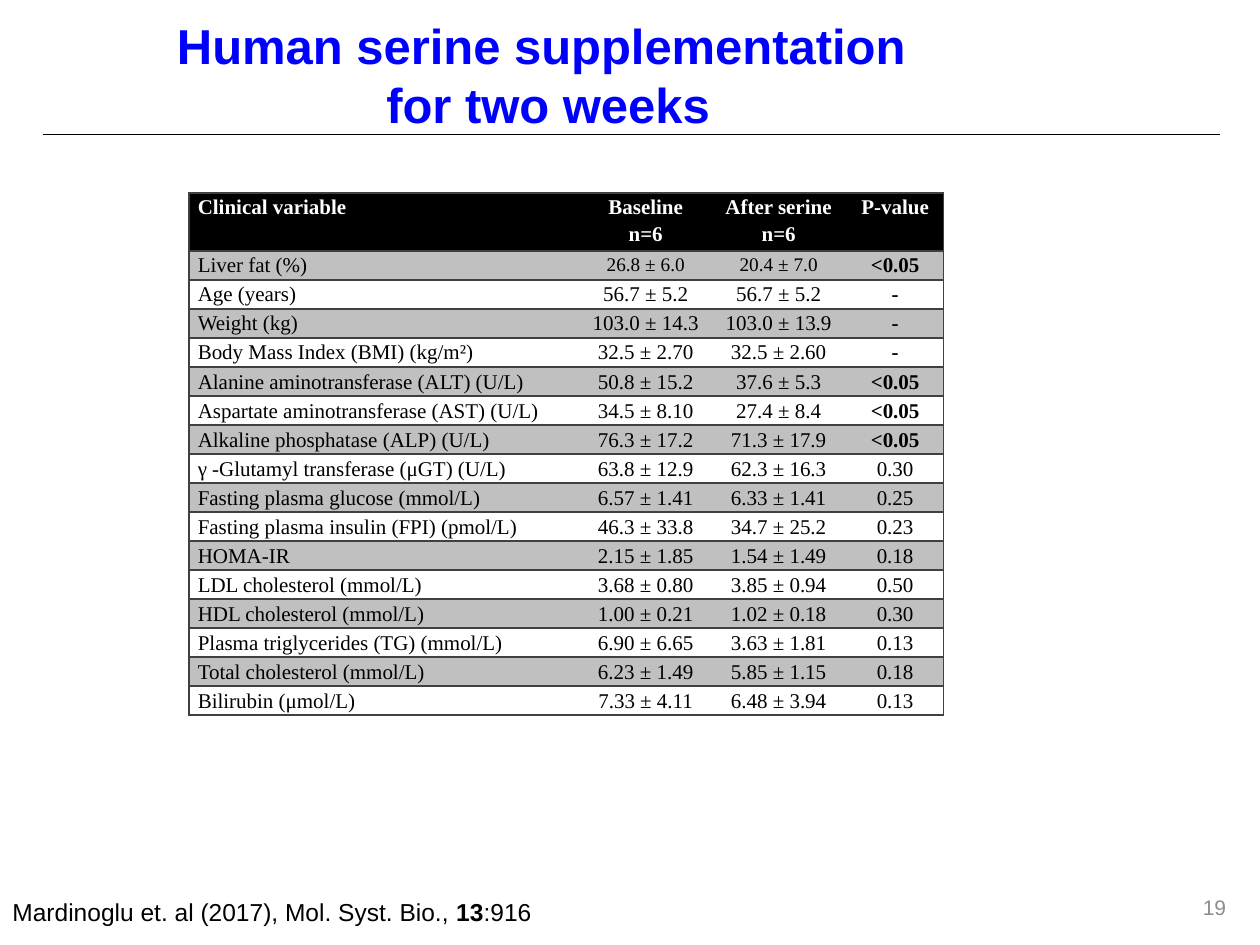
from typing import NamedTuple

from lxml.etree import SubElement
from pptx import Presentation
from pptx.dml.color import RGBColor
from pptx.enum.shapes import MSO_CONNECTOR
from pptx.enum.text import MSO_ANCHOR, PP_ALIGN
from pptx.oxml.ns import qn
from pptx.util import Inches, Length, Pt

SLIDE_WIDTH, SLIDE_HEIGHT = Inches(10), Inches(7.5)
BLACK, WHITE, BLUE, SILVER, GREY, DARK = (
    "000000", "FFFFFF", "0000FF", "C0C0C0", "8C8C8C", "404040")
COLUMN_SHARES = (31.1, 10.3, 10.8, 7.7)
ROW_SHARE = 3.07
CELL_PADDING = Inches(0.07)


class Box(NamedTuple):
    """A frame in percent of the slide's width and height."""
    left: float
    top: float
    width: float
    height: float


class Span(NamedTuple):
    text: str
    bold: bool = False


class TextStyle(NamedTuple):
    font: str
    size: float
    color: str
    align: PP_ALIGN = PP_ALIGN.LEFT
    spacing: float = 1.0


class Measurement(NamedTuple):
    variable: str
    baseline: str
    after: str
    p_value: str
    value_size: float = 12


HEADER = Measurement("Clinical variable", "Baseline\nn=6", "After serine\nn=6", "P-value")
MEASUREMENTS = (
    Measurement("Liver fat (%)", "26.8 ± 6.0", "20.4 ± 7.0", "<0.05", 11),
    Measurement("Age (years)", "56.7 ± 5.2", "56.7 ± 5.2", "-"),
    Measurement("Weight (kg)", "103.0 ± 14.3", "103.0 ± 13.9", "-"),
    Measurement("Body Mass Index (BMI) (kg/m²)", "32.5 ± 2.70", "32.5 ± 2.60", "-"),
    Measurement("Alanine aminotransferase (ALT) (U/L)", "50.8 ± 15.2", "37.6 ± 5.3", "<0.05"),
    Measurement("Aspartate aminotransferase (AST) (U/L)", "34.5 ± 8.10", "27.4 ± 8.4", "<0.05"),
    Measurement("Alkaline phosphatase (ALP) (U/L)", "76.3 ± 17.2", "71.3 ± 17.9", "<0.05"),
    Measurement("γ -Glutamyl transferase (μGT) (U/L)", "63.8 ± 12.9", "62.3 ± 16.3", "0.30"),
    Measurement("Fasting plasma glucose (mmol/L)", "6.57 ± 1.41", "6.33 ± 1.41", "0.25"),
    Measurement("Fasting plasma insulin (FPI) (pmol/L)", "46.3 ± 33.8", "34.7 ± 25.2", "0.23"),
    Measurement("HOMA-IR", "2.15 ± 1.85", "1.54 ± 1.49", "0.18"),
    Measurement("LDL cholesterol (mmol/L)", "3.68 ± 0.80", "3.85 ± 0.94", "0.50"),
    Measurement("HDL cholesterol (mmol/L)", "1.00 ± 0.21", "1.02 ± 0.18", "0.30"),
    Measurement("Plasma triglycerides (TG) (mmol/L)", "6.90 ± 6.65", "3.63 ± 1.81", "0.13"),
    Measurement("Total cholesterol (mmol/L)", "6.23 ± 1.49", "5.85 ± 1.15", "0.18"),
    Measurement("Bilirubin (μmol/L)", "7.33 ± 4.11", "6.48 ± 3.94", "0.13"),
)


def rgb(color: str) -> RGBColor:
    return RGBColor.from_string(color)


def across(percent: float) -> Length:
    return Length(round(SLIDE_WIDTH * percent / 100))


def down(percent: float) -> Length:
    return Length(round(SLIDE_HEIGHT * percent / 100))


def place(box: Box) -> tuple[Length, Length, Length, Length]:
    return across(box.left), down(box.top), across(box.width), down(box.height)


def apply(target: object, values: dict[str, object]) -> None:
    for name, value in values.items():
        setattr(target, name, value)


def write(frame, lines: list[list[Span]], style: TextStyle) -> None:
    for index, spans in enumerate(lines):
        paragraph = frame.add_paragraph() if index else frame.paragraphs[0]
        apply(paragraph, {"alignment": style.align, "line_spacing": style.spacing})
        for span in spans:
            run = paragraph.add_run()
            run.text = span.text
            apply(run.font, {"name": style.font, "size": Pt(style.size), "bold": span.bold})
            run.font.color.rgb = rgb(style.color)


def add_text(slide, box: Box, lines: list[list[Span]], style: TextStyle,
             anchor: MSO_ANCHOR = MSO_ANCHOR.TOP) -> None:
    frame = slide.shapes.add_textbox(*place(box)).text_frame
    apply(frame, {"word_wrap": True, "vertical_anchor": anchor})
    write(frame, lines, style)


def add_rule(slide, left: float, right: float, top: float) -> None:
    rule = slide.shapes.add_connector(
        MSO_CONNECTOR.STRAIGHT, across(left), down(top), across(right), down(top))
    rule.line.color.rgb = rgb(BLACK)
    rule.line.width = Pt(1)
    SubElement(rule._element.spPr, qn("a:effectLst"))


def set_borders(cell, visible: str) -> None:
    """Draw the sides named in visible (letters of LRTB) and clear the others."""
    properties = cell._tc.get_or_add_tcPr()
    for side in "LRTB":
        border = SubElement(properties, qn(f"a:ln{side}"), w=str(Pt(1)))
        if side in visible:
            fill = SubElement(border, qn("a:solidFill"))
            SubElement(fill, qn("a:srgbClr"), val=DARK)
        else:
            SubElement(border, qn("a:noFill"))


def fill_row(table, row: int, entry: Measurement) -> None:
    is_header = row == 0
    last = len(COLUMN_SHARES) - 1
    for column, text in enumerate(entry[:len(COLUMN_SHARES)]):
        cell = table.cell(row, column)
        apply(cell, {"margin_left": CELL_PADDING, "margin_right": CELL_PADDING,
                     "margin_top": 0, "margin_bottom": 0})
        set_borders(cell, "TB" + {0: "L", last: "R"}.get(column, ""))
        if is_header or row % 2:
            cell.fill.solid()
            cell.fill.fore_color.rgb = rgb(BLACK if is_header else SILVER)
        else:
            cell.fill.background()
        bold = is_header or (column == last and text in ("<0.05", "-"))
        style = TextStyle(
            "Times New Roman",
            entry.value_size if 0 < column < last else 12,
            WHITE if is_header else BLACK,
            PP_ALIGN.CENTER if column else PP_ALIGN.LEFT,
            1.15)
        write(cell.text_frame, [[Span(line, bold)] for line in text.split("\n")], style)


def add_clinical_table(slide, left: float, top: float) -> None:
    entries = (HEADER, *MEASUREMENTS)
    box = Box(left, top, sum(COLUMN_SHARES), ROW_SHARE * (len(entries) + 1))
    table = slide.shapes.add_table(len(entries), len(COLUMN_SHARES), *place(box)).table
    apply(table, {"first_row": False, "horz_banding": False})
    for column, share in zip(table.columns, COLUMN_SHARES):
        column.width = across(share)
    for row, entry in enumerate(entries):
        table.rows[row].height = down(ROW_SHARE * (1 if row else 2))
        fill_row(table, row, entry)


def main() -> None:
    deck = Presentation()
    apply(deck, {"slide_width": SLIDE_WIDTH, "slide_height": SLIDE_HEIGHT})
    slide = deck.slides.add_slide(deck.slide_layouts[6])
    add_rule(slide, 3.4, 96.8, 14.25)
    add_text(slide, Box(1.1, 0.93, 84.8, 13.87),
             [[Span("Human serine supplementation ", True)], [Span("for two weeks", True)]],
             TextStyle("Arial", 28, BLUE, PP_ALIGN.CENTER), MSO_ANCHOR.MIDDLE)
    add_clinical_table(slide, 15, 20.4)
    add_text(slide, Box(0, 94.27, 55.1, 4.53),
             [[Span("Mardinoglu et. al (2017), Mol. Syst. Bio., "), Span("13", True),
               Span(":916")]],
             TextStyle("Arial", 14, BLACK))
    add_text(slide, Box(75, 93.33, 23.3, 5.33), [[Span("19")]],
             TextStyle("Arial", 12, GREY, PP_ALIGN.RIGHT), MSO_ANCHOR.MIDDLE)
    deck.save("out.pptx")


if __name__ == "__main__":
    main()
